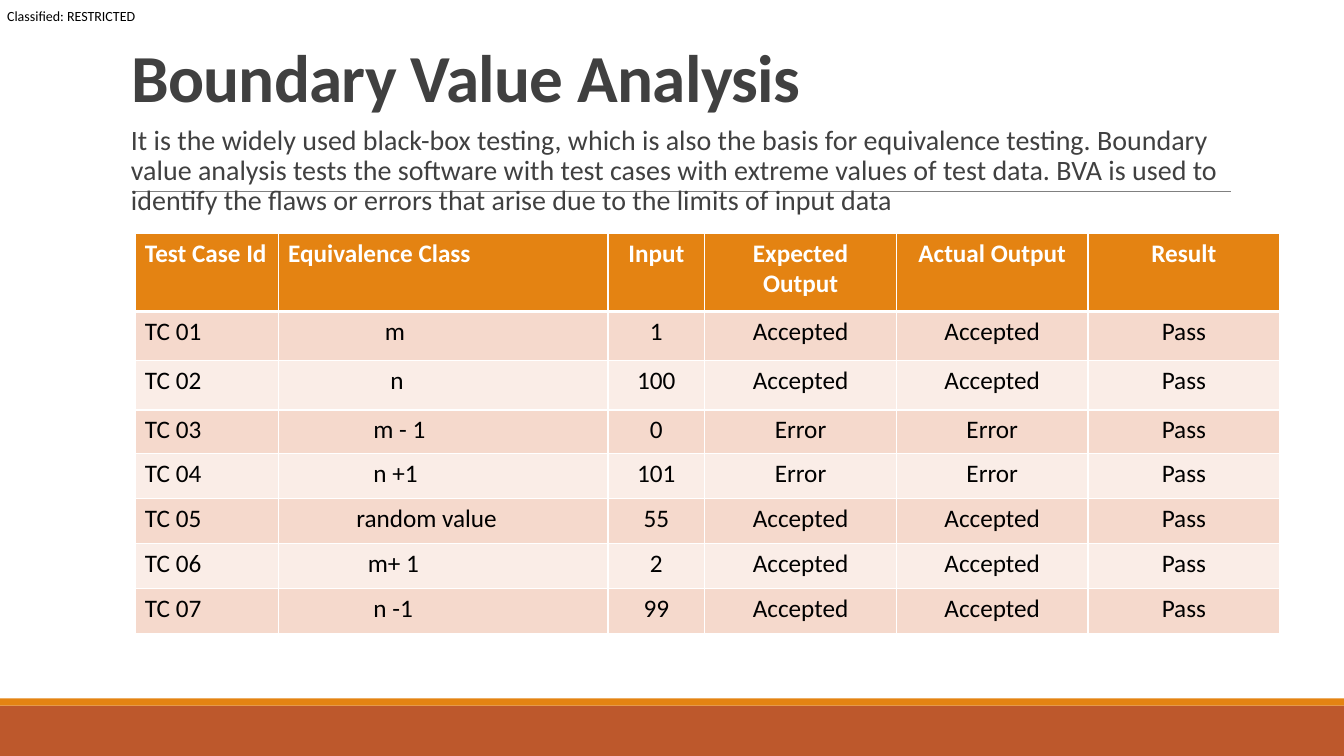
import pptx
import pptx.util
import pptx.dml.color
import pptx.enum.shapes
import pptx.enum.text
import pptx.oxml
import pptx.oxml.ns
from dataclasses import dataclass

Cm = pptx.util.Cm
Pt = pptx.util.Pt
Align = pptx.enum.text.PP_ALIGN
Anchor = pptx.enum.text.MSO_ANCHOR


@dataclass(frozen=True)
class Theme:
    font: str = "Calibri"
    ink: str = "404040"
    black: str = "000000"
    white: str = "FFFFFF"
    rust: str = "BD582C"
    amber: str = "E48312"
    rule: str = "808080"
    stripes: tuple = ("FAEDE7", "F5D9CC")
    title: int = 48
    body: int = 20
    cell: int = 18
    label: int = 10


THEME = Theme()
WIDE, TALL = 33.87, 19.05
SPACE = 0.1435
HEADS = ["Test Case Id", "Equivalence Class", "Input",
         "Expected Output", "Actual Output", "Result"]
CASES = [
    ("m", 17, "1", "Accepted"),
    ("n", 18, "100", "Accepted"),
    ("m - 1", 15, "0", "Error"),
    ("n +1", 15, "101", "Error"),
    ("random value", 12, "55", "Accepted"),
    ("m+ 1", 14, "2", "Accepted"),
    ("n -1", 15, "99", "Accepted"),
]
COLS = [3.61, 8.31, 2.44] + [4.83] * 3
ROWS = [1.98, 1.24, 1.24, 1.09] + [1.14] * 4


def color(code):
    return pptx.dml.color.RGBColor.from_string(code)


def make(tag, **attrs):
    node = pptx.oxml.parse_xml(f'<a:{tag} {pptx.oxml.ns.nsdecls("a")}/>')
    for name, value in attrs.items():
        node.set(name, str(value))
    return node


def paint(fill, code):
    fill.solid()
    fill.fore_color.rgb = color(code)


def write(para, text, size, code, bold=False):
    run = para.add_run()
    run.text = text
    font = run.font
    font.name, font.size, font.bold = THEME.font, Pt(size), bold
    font.color.rgb = color(code)
    return run


def place(shape, box):
    shape.left, shape.top, shape.width, shape.height = map(Cm, box)


def add_band(slide, box, code):
    kind = pptx.enum.shapes.MSO_SHAPE.RECTANGLE
    band = slide.shapes.add_shape(kind, *map(Cm, box))
    paint(band.fill, code)
    band.line.fill.background()
    band.shadow.inherit = False


def add_foot(slide, box):
    left, top, width, height = box
    strip = 0.18
    add_band(slide, (left, top + strip, width, height - strip), THEME.rust)
    add_band(slide, (left, top, width, strip), THEME.amber)


def add_rule(slide, left, top, width):
    kind = pptx.enum.shapes.MSO_CONNECTOR.STRAIGHT
    rule = slide.shapes.add_connector(
        kind, Cm(left), Cm(top), Cm(left + width), Cm(top))
    rule.line.color.rgb = color(THEME.rule)
    rule.line.width = Pt(0.5)
    rule._element.spPr.append(make("effectLst"))


def add_label(slide, box):
    frame = slide.shapes.add_textbox(*map(Cm, box)).text_frame
    frame.margin_left = frame.margin_right = 0
    frame.margin_top = frame.margin_bottom = 0
    frame.word_wrap = True
    write(frame.paragraphs[0], "Classified: RESTRICTED", THEME.label, THEME.black)


def fill_title(slide, box):
    title = slide.shapes.title
    slide.shapes._spTree.append(title._element)
    place(title, box)
    frame = title.text_frame
    frame.auto_size = pptx.enum.text.MSO_AUTO_SIZE.NONE
    frame.vertical_anchor = Anchor.BOTTOM
    para = frame.paragraphs[0]
    para.alignment, para.line_spacing = Align.LEFT, 0.85
    run = write(para, "Boundary Value Analysis", THEME.title, THEME.ink, True)
    run._r.get_or_add_rPr().set("spc", "-50")


def fill_body(slide, box):
    body = slide.placeholders[1]
    slide.shapes._spTree.append(body._element)
    place(body, box)
    frame = body.text_frame
    frame.auto_size = pptx.enum.text.MSO_AUTO_SIZE.NONE
    frame.vertical_anchor = Anchor.TOP
    frame.margin_left = frame.margin_right = 0
    para = frame.paragraphs[0]
    para.line_spacing = 0.9
    para.space_before, para.space_after = Pt(12), Pt(2)
    props = para._p.get_or_add_pPr()
    props.set("marL", str(Cm(0.25)))
    props.set("indent", str(-Cm(0.25)))
    props.append(make("buChar", char=" "))
    write(para, "It is the widely used black-box testing, which is also the "
          "basis for equivalence testing. Boundary value analysis tests the "
          "software with test cases with extreme values of test data. BVA is "
          "used to identify the flaws or errors that arise due to the limits "
          "of input data", THEME.body, THEME.ink)


def add_edges(cell, base):
    props = cell._tc.get_or_add_tcPr()
    for spot, (side, width) in enumerate(zip("LRTB", (1, 1, 1, base))):
        edge = make(f"ln{side}", w=Pt(width))
        ink = make("solidFill")
        ink.append(make("srgbClr", val=THEME.white))
        edge.append(ink)
        props.insert(spot, edge)


def fill_cell(cell, text, row, col):
    head = row == 0
    paint(cell.fill, THEME.amber if head else THEME.stripes[row % 2])
    add_edges(cell, 3 if head else 1)
    para = cell.text_frame.paragraphs[0]
    para.alignment = Align.CENTER if col > 1 else Align.LEFT
    write(para, text, THEME.cell, THEME.white if head else THEME.black, head)
    if col == 1 and not head:
        cell.margin_left = Cm(round(0.25 + CASES[row - 1][1] * SPACE, 2))


def add_grid(slide, left, top):
    lines = [HEADS] + [
        [f"TC {num:02}", group, value, result, result, "Pass"]
        for num, (group, _, value, result) in enumerate(CASES, 1)]
    box = (left, top, sum(COLS), sum(ROWS))
    grid = slide.shapes.add_table(len(ROWS), len(COLS), *map(Cm, box)).table
    for col, width in zip(grid.columns, COLS):
        col.width = Cm(width)
    for row, height in zip(grid.rows, ROWS):
        row.height = Cm(height)
    for row, line in enumerate(lines):
        for col, text in enumerate(line):
            fill_cell(grid.cell(row, col), text, row, col)


def main():
    deck = pptx.Presentation()
    deck.slide_width, deck.slide_height = Cm(WIDE), Cm(TALL)
    slide = deck.slides.add_slide(deck.slide_layouts[1])
    left, width = 3.05, 27.94
    add_foot(slide, (0, 17.6, WIDE, TALL - 17.6))
    add_rule(slide, 3.33, 4.83, 27.68)
    add_label(slide, (0.18, 0.18, 3.5, 0.43))
    fill_title(slide, (left, 0.79, width, 2.26))
    fill_body(slide, (left, 3.05, width, 13.23))
    add_grid(slide, 3.4, 5.87)
    deck.save("out.pptx")


if __name__ == "__main__":
    main()
